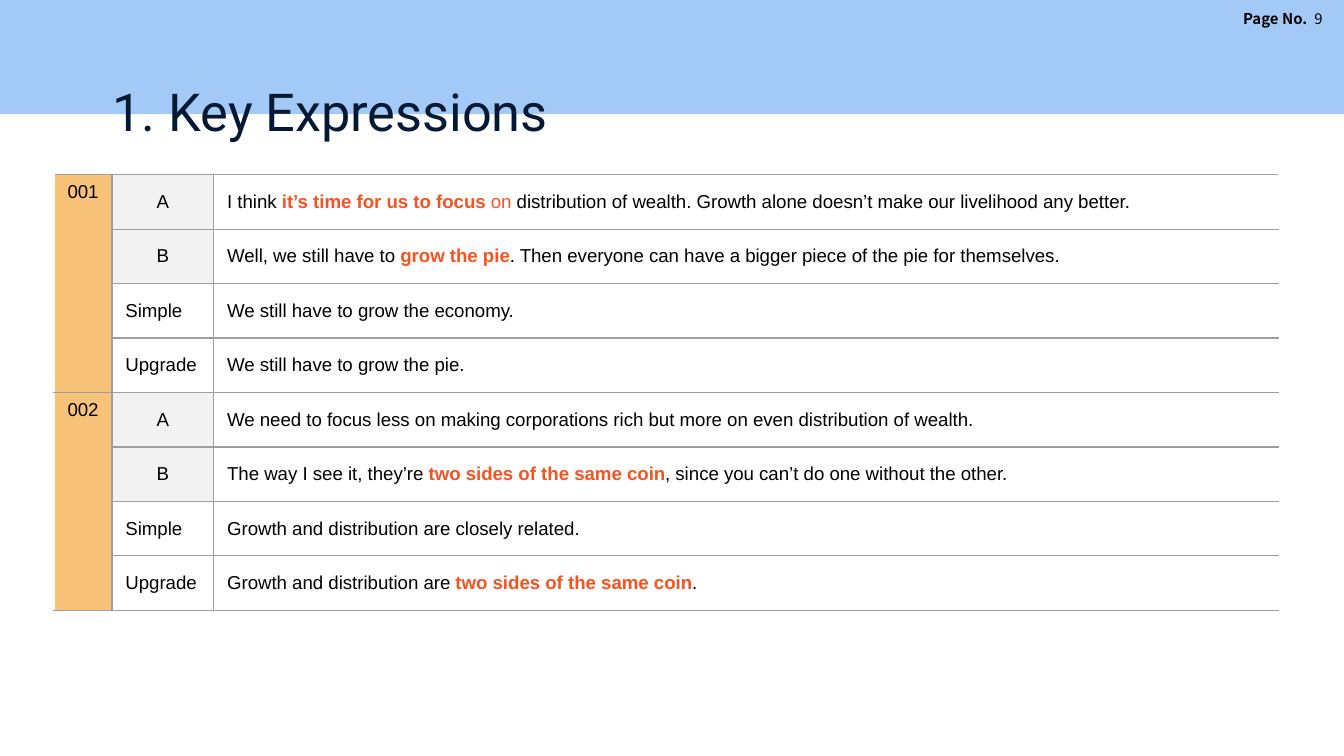
from lxml import etree
from pptx import Presentation
from pptx.dml.color import RGBColor
from pptx.enum import shapes, text
from pptx.oxml.ns import qn
from pptx.util import Pt

SKY = RGBColor(0xA3, 0xCA, 0xF7)
NAVY = RGBColor(0x05, 0x19, 0x34)
BLACK = RGBColor(0, 0, 0)
WHITE = RGBColor(0xFF, 0xFF, 0xFF)
ORANGE = RGBColor(0xF7, 0x52, 0x1F)
AMBER = RGBColor(0xF8, 0xC3, 0x79)
PALE = RGBColor(0xF2, 0xF2, 0xF2)
GREY = RGBColor(0x9E, 0x9E, 0x9E)

EMPHASIS = {"color": ORANGE, "bold": True}
COLUMNS = (31, 54.5, 570.5)
ROW_HEIGHT = 29.17
COIN = ("two sides of the same coin", EMPHASIS)

# Each expression: number, then (label, runs); a run is (wording, format).
EXPRESSIONS = [
    ("001", [
        ("A", [("I think ", {}), ("it’s time for us to focus ", EMPHASIS),
               ("on ", {"color": ORANGE}),
               ("distribution of wealth. Growth alone doesn’t make our "
                "livelihood any better.", {})]),
        ("B", [("Well, we still have to ", {}), ("grow the pie", EMPHASIS),
               (". Then everyone can have a bigger piece of the pie for "
                "themselves.", {})]),
        ("Simple", [("We still have to grow the economy.", {})]),
        ("Upgrade", [("We still have to grow the pie.", {})]),
    ]),
    ("002", [
        ("A", [("We need to focus less on making corporations rich but more "
                "on even distribution of wealth.", {})]),
        ("B", [("The way I see it, they’re ", {}), COIN,
               (", since you can’t do one without the other.", {})]),
        ("Simple", [("Growth and distribution are closely related.", {})]),
        ("Upgrade", [("Growth and distribution are ", {}), COIN, (".", {})]),
    ]),
]


def add_run(paragraph, wording, font="Arial", size=10, color=BLACK, bold=False):
    run = paragraph.add_run()
    run.text = wording
    run.font.name = font
    run.font.size = Pt(size)
    run.font.bold = bold
    run.font.color.rgb = color
    props = run._r.get_or_add_rPr()
    for tag in ("a:ea", "a:cs"):
        etree.SubElement(props, qn(tag), typeface=font)


def add_text(slide, box, runs, align=text.PP_ALIGN.LEFT, inset=(7.2, 7.2)):
    """Place a text box; inset is (horizontal, vertical)."""
    frame = slide.shapes.add_textbox(*map(Pt, box)).text_frame
    frame.word_wrap = True
    frame.margin_left = frame.margin_right = Pt(inset[0])
    frame.margin_top = frame.margin_bottom = Pt(inset[1])
    paragraph = frame.paragraphs[0]
    paragraph.alignment = align
    for wording, style in runs:
        add_run(paragraph, wording, **style)


def add_header(slide, left, top, width, height):
    band = slide.shapes.add_shape(shapes.MSO_SHAPE.RECTANGLE,
                                  *map(Pt, (left, top, width, height)))
    band.shadow.inherit = False
    band.fill.solid()
    band.fill.fore_color.rgb = SKY
    band.line.fill.background()
    page = {"font": "Noto Sans CJK KR", "size": 8}
    add_text(slide, (left + width - 109.4, top + 1.5, 104.4, 16.5),
             [("Page No.  ", {**page, "bold": True}), ("9", page)],
             align=text.PP_ALIGN.RIGHT, inset=(6.5, 3.6))
    add_text(slide, (left + 53.3, top + 35.3, 556.5, 45.4),
             [("1. Key Expressions",
               {"font": "Roboto", "size": 28, "color": NAVY})])


def set_borders(cell, **white_sides):
    """Draw grey borders, except white ones on the sides given as True."""
    props = cell._tc.get_or_add_tcPr()
    for index, side in enumerate("LRTB"):
        white = white_sides.get(side, False)
        line = etree.Element(qn(f"a:ln{side}"), w=str(Pt(1 if white else 0.75)))
        fill = etree.SubElement(line, qn("a:solidFill"))
        etree.SubElement(fill, qn("a:srgbClr"), val=str(WHITE if white else GREY))
        props.insert(index, line)


def fill_cell(cell, runs, fill=None, align=text.PP_ALIGN.LEFT,
              anchor=text.MSO_ANCHOR.MIDDLE, right=7.2):
    cell.margin_left, cell.margin_right = Pt(7.2), Pt(right)
    cell.vertical_anchor = anchor
    paragraph = cell.text_frame.paragraphs[0]
    paragraph.alignment = align
    for wording, style in runs:
        add_run(paragraph, wording, **style)
    if fill is None:
        cell.fill.background()
    else:
        cell.fill.solid()
        cell.fill.fore_color.rgb = fill


def add_expressions(slide, left, top):
    count = sum(len(lines) for _, lines in EXPRESSIONS)
    table = slide.shapes.add_table(
        count, len(COLUMNS), Pt(left), Pt(top),
        Pt(sum(COLUMNS)), Pt(ROW_HEIGHT * count)).table
    table.first_row = table.horz_banding = False
    for column, width in zip(table.columns, COLUMNS):
        column.width = Pt(width)
    for row in table.rows:
        row.height = Pt(ROW_HEIGHT)

    first = 0
    for number, lines in EXPRESSIONS:
        number_cell = table.cell(first, 0)
        number_cell.merge(table.cell(first + len(lines) - 1, 0))
        fill_cell(number_cell, [(number, {})], fill=AMBER,
                  anchor=text.MSO_ANCHOR.TOP, right=3.6)
        for row, (label, runs) in enumerate(lines, first):
            speaker = label in ("A", "B")
            fill_cell(table.cell(row, 1), [(label, {})],
                      fill=PALE if speaker else None,
                      align=text.PP_ALIGN.CENTER if speaker else text.PP_ALIGN.LEFT)
            fill_cell(table.cell(row, 2), runs)
            set_borders(table.cell(row, 0), L=True)
            set_borders(table.cell(row, 1))
            set_borders(table.cell(row, 2), R=True)
        first += len(lines)


def main():
    deck = Presentation()
    deck.slide_width, deck.slide_height = Pt(720), Pt(405)
    slide = deck.slides.add_slide(deck.slide_layouts[6])
    add_header(slide, 0, 0, 720, 61.2)
    add_expressions(slide, 29, 93.6)
    deck.save("out.pptx")


if __name__ == "__main__":
    main()
